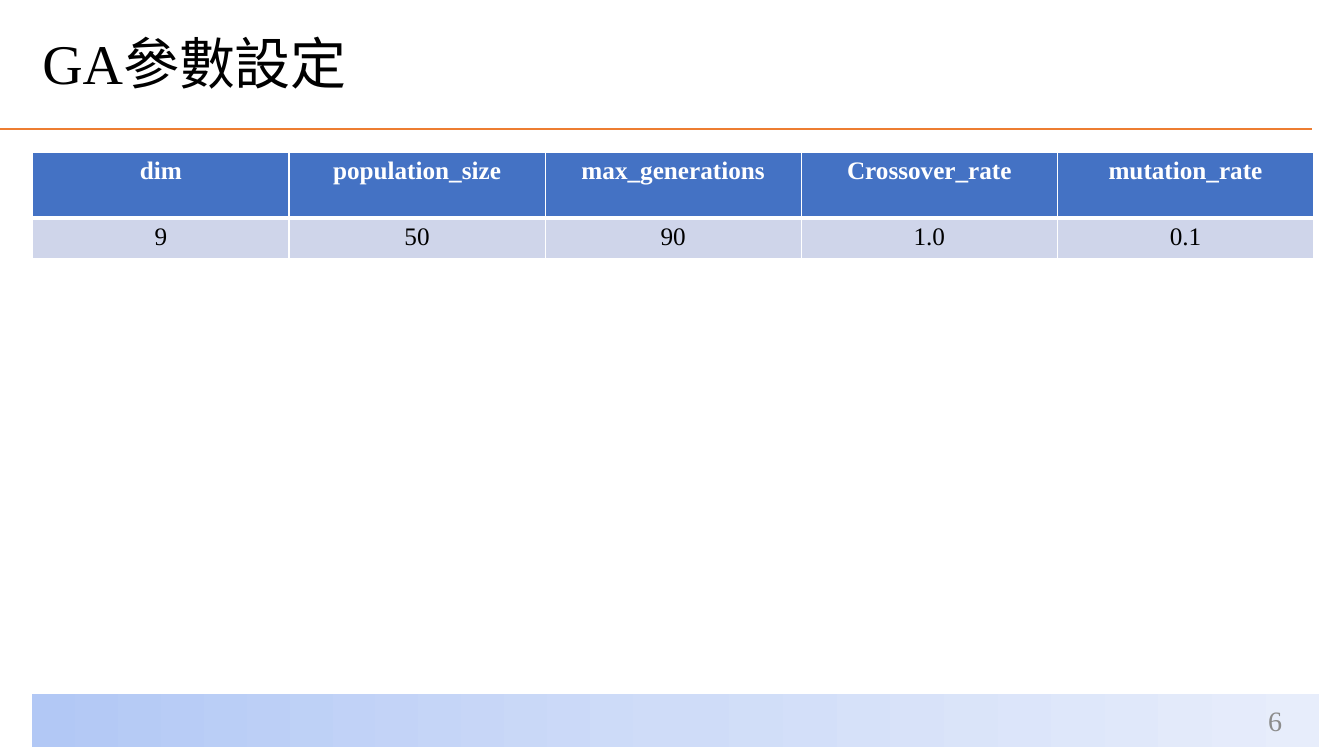
from lxml.etree import SubElement
from pptx import Presentation
from pptx.dml.color import RGBColor
from pptx.enum.shapes import MSO_CONNECTOR, MSO_SHAPE
from pptx.enum.text import MSO_ANCHOR, PP_ALIGN
from pptx.oxml.ns import qn
from pptx.util import Pt

COLORS = {
    "black": "000000", "white": "FFFFFF", "gray": "8C8C8C", "orange": "ED7D31",
    "header": "4472C4", "row": "CFD5EA",
    "band_left": "B2C8F5", "band_mid": "CFDCF8", "band_right": "E7EDFB",
}


def rgb(name):
    return RGBColor.from_string(COLORS[name])


def write(tf, text, size=18, color="black", bold=False, align=PP_ALIGN.LEFT, spacing=None):
    p = tf.paragraphs[0]
    p.alignment = align
    p.line_spacing = spacing
    r = p.add_run()
    r.text = text
    r.font.name = "Times New Roman"
    r.font.size = Pt(size)
    r.font.bold = bold
    r.font.color.rgb = rgb(color)


prs = Presentation()
prs.slide_width, prs.slide_height = Pt(960), Pt(540)
s = prs.slides.add_slide(prs.slide_layouts[5])

# Footer band with a three-stop gradient
band = s.shapes.add_shape(MSO_SHAPE.RECTANGLE, Pt(23), Pt(496), Pt(919.5), Pt(37.5))
band.shadow.inherit = False
band.line.fill.background()
band.fill.gradient()
band.fill.gradient_angle = 0
stops = band._element.spPr.find(qn("a:gradFill")).find(qn("a:gsLst"))
stops.clear()
for pos, name in ((0, "band_left"), (50, "band_mid"), (100, "band_right")):
    stop = SubElement(stops, qn("a:gs"), pos=str(pos * 1000))
    SubElement(stop, qn("a:srgbClr"), val=COLORS[name])

# Rule under the title
rule = s.shapes.add_connector(MSO_CONNECTOR.STRAIGHT, Pt(-0.7), Pt(92.2), Pt(937.4), Pt(92.2))
rule.line.color.rgb = rgb("orange")
rule.line.width = Pt(1.5)
SubElement(rule._element.spPr, qn("a:effectLst"))

# Title
title = s.shapes.title
title.left, title.top, title.width, title.height = Pt(23), Pt(13.7), Pt(915), Pt(67)
title.text_frame.vertical_anchor = MSO_ANCHOR.MIDDLE
write(title.text_frame, "GA參數設定", size=40, spacing=0.9)

# Slide number
number = s.shapes.add_textbox(Pt(707), Pt(500.4), Pt(216), Pt(28.8))
number.text_frame.word_wrap = True
number.text_frame.vertical_anchor = MSO_ANCHOR.MIDDLE
write(number.text_frame, "6", size=20, color="gray", align=PP_ALIGN.RIGHT)

# Parameter table
params = [
    ("dim", "population_size", "max_generations", "Crossover_rate", "mutation_rate"),
    ("9", "50", "90", "1.0", "0.1"),
]
table = s.shapes.add_table(2, 5, Pt(23.4), Pt(108.7), Pt(915), Pt(76.3)).table
table.rows[0].height, table.rows[1].height = Pt(46.8), Pt(29.5)
for i, row in enumerate(params):
    header = i == 0
    for j, text in enumerate(row):
        cell = table.cell(i, j)
        write(cell.text_frame, text, color="white" if header else "black",
              bold=header, align=PP_ALIGN.CENTER)
        # Thick white line between header and values, thin elsewhere
        widths = {"L": 1, "R": 1, "T": 1 if header else 3, "B": 3 if header else 1}
        for side, width in widths.items():
            ln = SubElement(cell._tc.get_or_add_tcPr(), qn(f"a:ln{side}"), w=str(Pt(width)))
            fill = SubElement(ln, qn("a:solidFill"))
            SubElement(fill, qn("a:srgbClr"), val=COLORS["white"])
        cell.fill.solid()
        cell.fill.fore_color.rgb = rgb("header" if header else "row")

prs.save("out.pptx")
